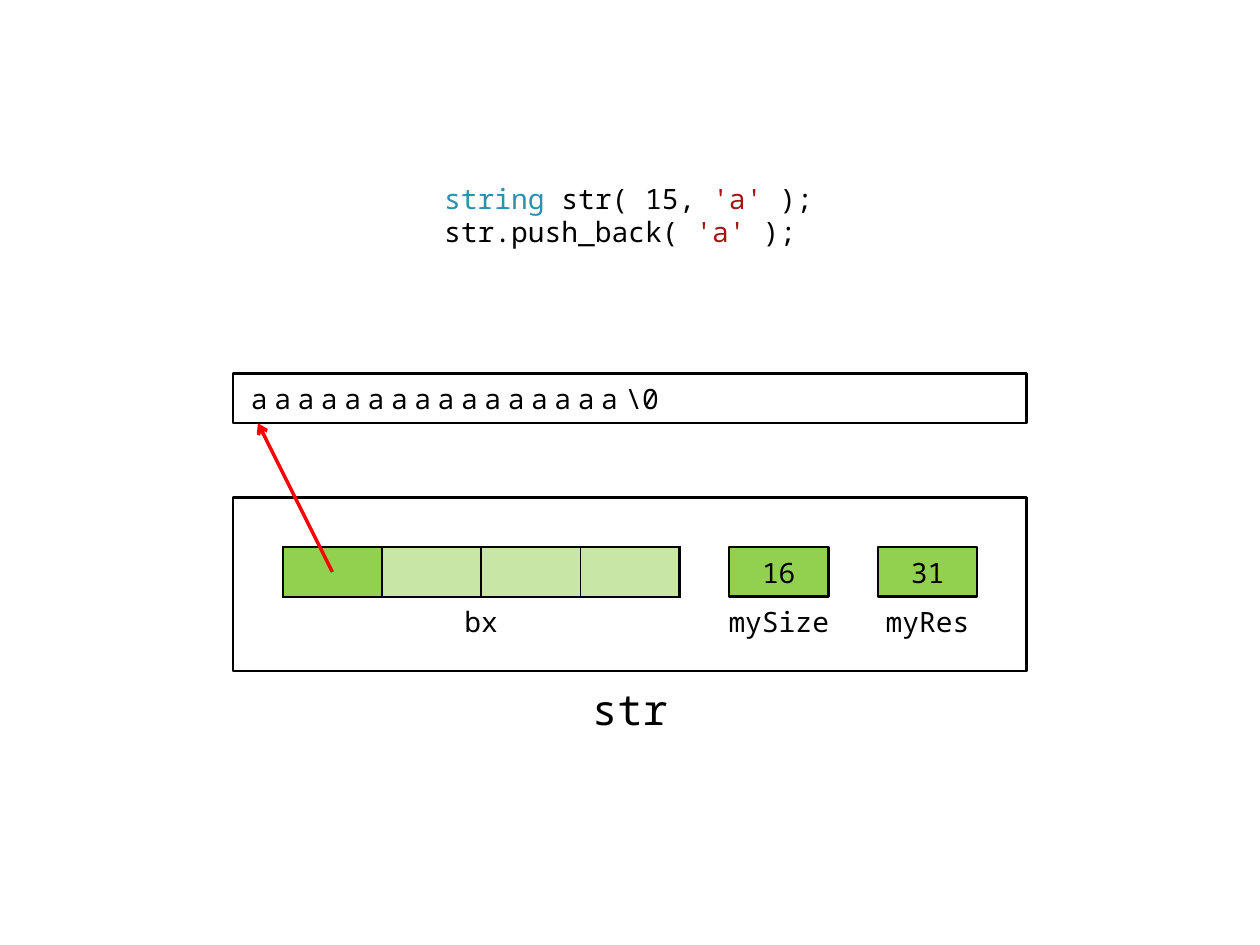
from lxml import etree
from pptx import Presentation
from pptx.dml.color import RGBColor
from pptx.enum.shapes import MSO_CONNECTOR, MSO_SHAPE
from pptx.enum.text import MSO_ANCHOR, MSO_AUTO_SIZE, PP_ALIGN
from pptx.oxml.ns import qn
from pptx.util import Cm, Pt

RECT, PROCESS = MSO_SHAPE.RECTANGLE, MSO_SHAPE.FLOWCHART_PROCESS
STRAIGHT = MSO_CONNECTOR.STRAIGHT
MIDDLE, CENTER, LEFT = MSO_ANCHOR.MIDDLE, PP_ALIGN.CENTER, PP_ALIGN.LEFT
FONT = "Noto Sans Mono"
COLORS = {name: RGBColor.from_string(value) for name, value in {
    "black": "000000", "white": "FFFFFF", "green": "92D050",
    "red": "FF0000", "type": "2B91AF", "literal": "A31515"}.items()}


def add_run(p, text, size=16, color="black"):
    r = p.add_run()
    r.text = text
    for name, value in {"name": FONT, "size": Pt(size)}.items():
        setattr(r.font, name, value)
    r.font.color.rgb = COLORS[color]
    return r


def add_box(kind, left, top, width, height, fill=None, text="", size=16):
    """Add a box in cm; without a fill it is a bare label."""
    sp = s.shapes.add_shape(kind, Cm(left), Cm(top), Cm(width), Cm(height))
    sp.shadow.inherit = False
    if fill:
        sp.fill.solid()
        sp.fill.fore_color.rgb = COLORS[fill]
        sp.line.color.rgb = COLORS["black"]
        sp.line.width = Pt(1.5)
    else:
        sp.fill.background()
        sp.line.fill.background()
    sp.text_frame.vertical_anchor = MIDDLE
    p = sp.text_frame.paragraphs[0]
    p.alignment = CENTER
    if text:
        add_run(p, text, size)
    return sp


prs = Presentation()
prs.slide_width, prs.slide_height = Cm(25.4), Cm(19.05)
s = prs.slides.add_slide(prs.slide_layouts[1])
title = s.shapes.title
title.element.getparent().remove(title.element)

# Code
body = s.placeholders[1]
for name, value in {"left": 8.7, "top": 3.53, "width": 8, "height": 2}.items():
    setattr(body, name, Cm(value))
tf = body.text_frame
tf.auto_size = MSO_AUTO_SIZE.NONE
code = [
    [("string ", "type"), ("str( 15, ", "black"), ("'a' ", "literal"), (");", "black")],
    [("str.push_back( ", "black"), ("'a' ", "literal"), (");", "black")],
]
for i, line in enumerate(code):
    p = tf.paragraphs[0] if i == 0 else tf.add_paragraph()
    p.space_before = Pt(0)
    pPr = p._p.get_or_add_pPr()
    pPr.set("marL", "0")
    pPr.set("indent", "0")
    etree.SubElement(pPr, qn("a:buNone"))
    for text, color in line:
        add_run(p, text, color=color)

# String object and its members
add_box(PROCESS, 11.2, 13.53, 3, 1.5, text="str", size=24)
add_box(PROCESS, 4.7, 10.03, 16, 3.5, "white")
add_box(PROCESS, 8.7, 12.03, 2, 1, text="bx")
for left, value, member in [(14.7, "16", "mySize"), (17.7, "31", "myRes")]:
    add_box(RECT, left, 11.03, 2, 1, "green", value)
    add_box(PROCESS, left - 0.5, 12.03, 3, 1, text=member)

# Local buffer: the first cell holds the pointer, the others are unused
COLS = 4
frame = s.shapes.add_table(1, COLS, Cm(5.7), Cm(11.03), Cm(2 * COLS), Cm(1))
table = frame.table
table.first_row = table.horz_banding = False
for i, cell in enumerate(table.rows[0].cells):
    cell.margin_top = cell.margin_bottom = Cm(0)
    tcPr = cell._tc.get_or_add_tcPr()
    widths = {"lnL": 1.5 if i == 0 else 1, "lnR": 1.5 if i == COLS - 1 else 1,
              "lnT": 1.5, "lnB": 1.5}
    for side, width in widths.items():
        ln = etree.SubElement(tcPr, qn(f"a:{side}"), w=str(Pt(width)))
        solid = etree.SubElement(ln, qn("a:solidFill"))
        etree.SubElement(solid, qn("a:srgbClr"), val=str(COLORS["black"]))
    cell.fill.solid()
    cell.fill.fore_color.rgb = COLORS["green"]
    if i > 0:
        clr = tcPr.find(qn("a:solidFill")).find(qn("a:srgbClr"))
        etree.SubElement(clr, qn("a:alpha"), val="50000")

# Heap buffer
heap = add_box(RECT, 4.7, 7.53, 16, 1, "white")
heap.text_frame.margin_left = Cm(0.36)
p = heap.text_frame.paragraphs[0]
p.alignment = LEFT
for text, spacing in [("a" * 16, 380), ("\\", -150), ("0", 0)]:
    r = add_run(p, text)
    r._r.get_or_add_rPr().set("spc", str(spacing))

# Pointer to the heap buffer
arrow = s.shapes.add_connector(STRAIGHT, Cm(6.7), Cm(11.53), Cm(5.2), Cm(8.53))
arrow.line.color.rgb = COLORS["red"]
arrow.line.width = Pt(2)
etree.SubElement(arrow.line._get_or_add_ln(), qn("a:tailEnd"), type="arrow")
etree.SubElement(arrow._element.spPr, qn("a:effectLst"))

prs.save("out.pptx")
